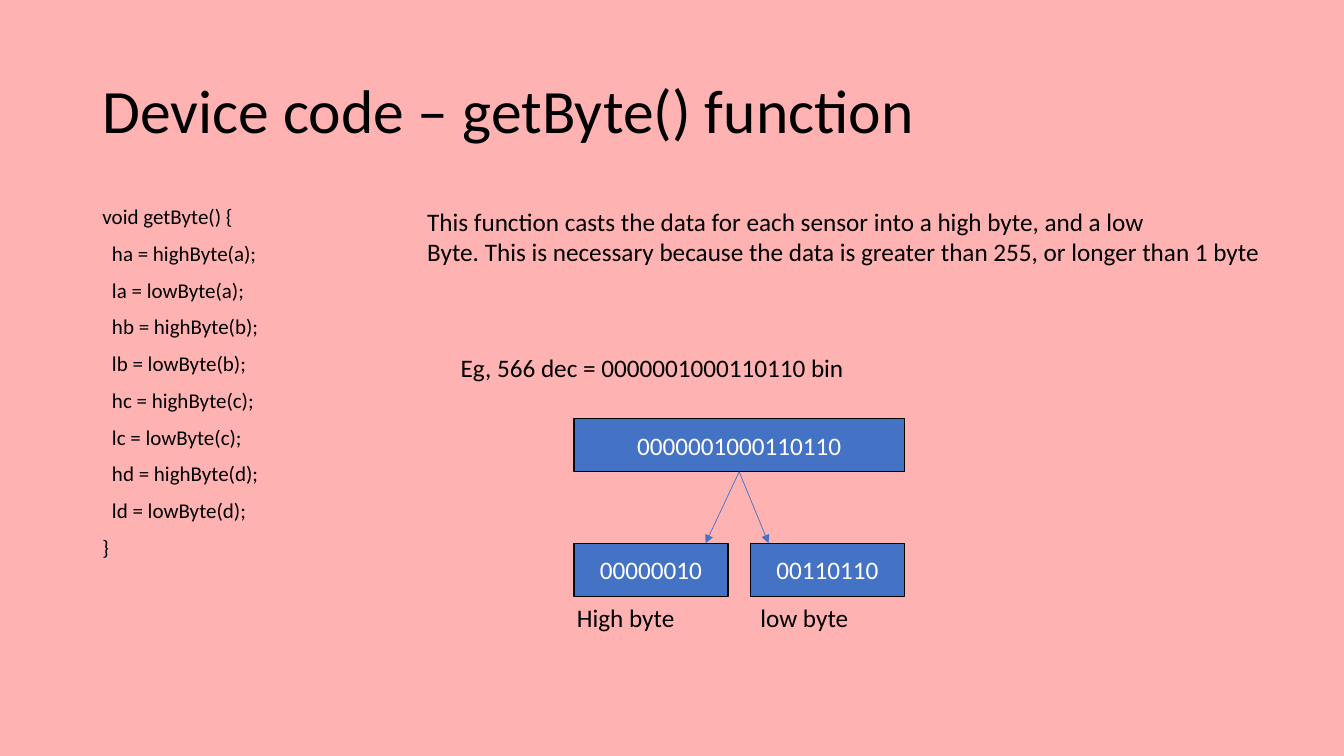
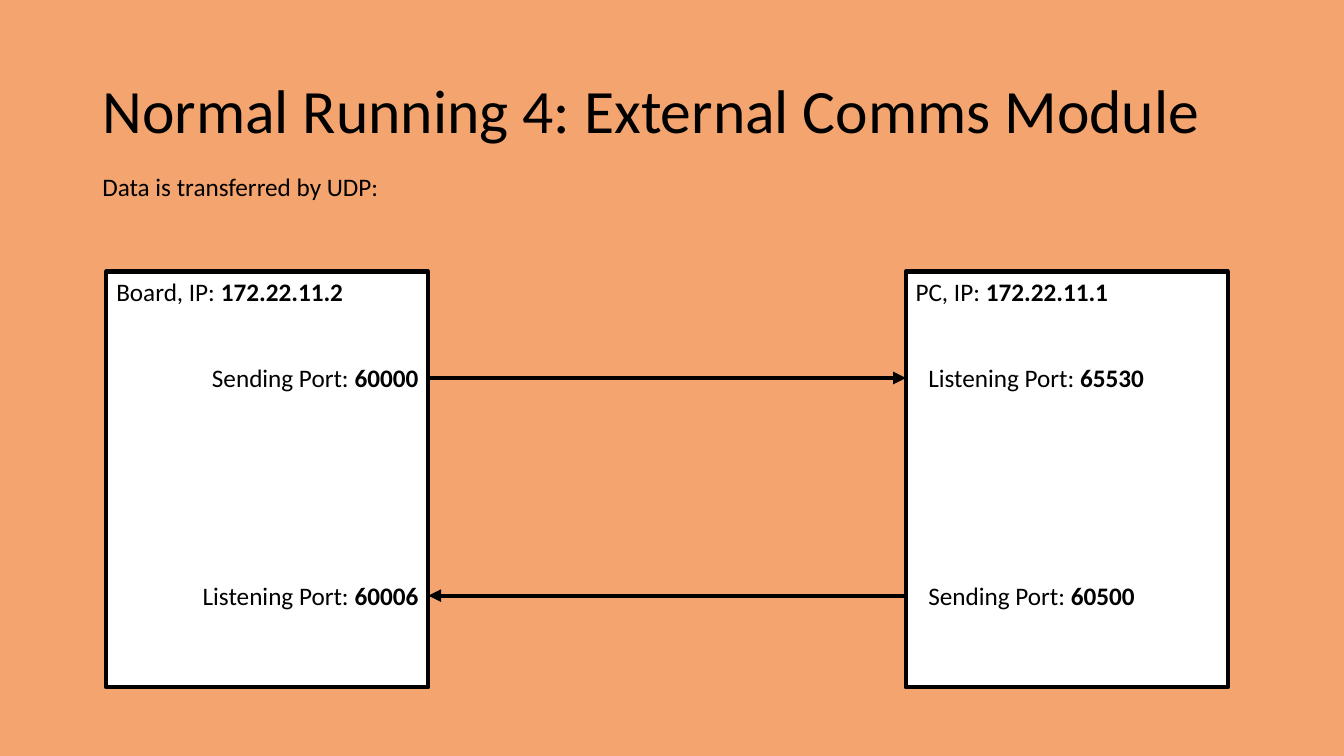
from dataclasses import dataclass

from lxml.etree import SubElement
from pptx import Presentation
from pptx.dml.color import RGBColor
from pptx.enum.shapes import MSO_CONNECTOR, MSO_SHAPE
from pptx.enum.text import MSO_ANCHOR, MSO_AUTO_SIZE, PP_ALIGN
from pptx.oxml.ns import qn
from pptx.shapes.autoshape import Shape
from pptx.slide import Slide
from pptx.util import Pt

RECTANGLE = MSO_SHAPE.RECTANGLE
STRAIGHT = MSO_CONNECTOR.STRAIGHT
MIDDLE = MSO_ANCHOR.MIDDLE
NO_AUTOFIT = MSO_AUTO_SIZE.NONE
LEFT, CENTER, RIGHT = PP_ALIGN.LEFT, PP_ALIGN.CENTER, PP_ALIGN.RIGHT

FONT = "Calibri"
BLACK, WHITE, BLUE = "000000", "FFFFFF", "4472C4"
PINK, ORANGE = "FFB2B2", "F3A46F"
TITLE_SIZE, TEXT_SIZE, CODE_SIZE = 44, 18, 15
TITLE_AND_BODY, TITLE_ONLY = 1, 5
MARGIN = 66
LABEL_HEIGHT = 29
CODE_INDENT = 6.8

CODE_CALLS = [
    f"{prefix}{name} = {function}({name});"
    for name in "abcd"
    for prefix, function in (("h", "highByte"), ("l", "lowByte"))
]


@dataclass(frozen=True)
class Area:
    left: float
    top: float
    width: float
    height: float

    @property
    def right(self) -> float:
        return self.left + self.width

    @property
    def bottom(self) -> float:
        return self.top + self.height

    @property
    def center(self) -> float:
        return self.left + self.width / 2


@dataclass(frozen=True)
class ByteBox:
    bits: str
    area: Area
    arrow_end: float
    label: str
    label_left: float


@dataclass(frozen=True)
class Host:
    name: str
    address: str
    frame: Area
    label_left: float
    align: PP_ALIGN
    ports: tuple[tuple[str, str], ...]


TITLE_AREA = Area(MARGIN, 29, 828, 104)
CODE_AREA = Area(MARGIN, 144, 366, 342)


def color(value: str) -> RGBColor:
    return RGBColor.from_string(value)


def format_para(para, size: float, text_color: str = BLACK, align: PP_ALIGN = LEFT) -> None:
    para.alignment = align
    para.font.name = FONT
    para.font.size = Pt(size)
    para.font.color.rgb = color(text_color)


def place(shape: Shape, area: Area) -> None:
    shape.left, shape.top = Pt(area.left), Pt(area.top)
    shape.width, shape.height = Pt(area.width), Pt(area.height)


def add_page(deck, layout: int, title: str, background: str) -> Slide:
    page = deck.slides.add_slide(deck.slide_layouts[layout])
    page.background.fill.solid()
    page.background.fill.fore_color.rgb = color(background)
    heading = page.shapes.title
    place(heading, TITLE_AREA)
    frame = heading.text_frame
    frame.text = title
    frame.auto_size = NO_AUTOFIT
    frame.vertical_anchor = MIDDLE
    para = frame.paragraphs[0]
    para.line_spacing = 0.9
    format_para(para, TITLE_SIZE)
    return page


def fill_code(body: Shape, lines: list[str]) -> None:
    """Write a function body, indenting all but its first and last line."""
    place(body, CODE_AREA)
    frame = body.text_frame
    frame.text = "\n".join(lines)
    frame.auto_size = NO_AUTOFIT
    for index, para in enumerate(frame.paragraphs):
        format_para(para, CODE_SIZE)
        para.line_spacing = 0.9
        para.space_before = Pt(10)
        inner = 0 < index < len(lines) - 1
        properties = para._p.get_or_add_pPr()
        properties.set("marL", str(Pt(CODE_INDENT if inner else 0)))
        properties.set("indent", "0")
        bullet = properties.makeelement(qn("a:buNone"), {})
        properties.find(qn("a:defRPr")).addprevious(bullet)


def add_label(page: Slide, left: float, top: float, width: float, text: str,
              bold_end: str = "", align: PP_ALIGN = LEFT) -> None:
    lines = text.split("\n")
    box = page.shapes.add_textbox(Pt(left), Pt(top), Pt(width), Pt(LABEL_HEIGHT * len(lines)))
    frame = box.text_frame
    frame.word_wrap = True
    frame.text = text
    for para in frame.paragraphs:
        format_para(para, TEXT_SIZE, align=align)
    if bold_end:
        span = frame.paragraphs[-1].add_run()
        span.text = bold_end
        span.font.bold = True


def add_box(page: Slide, area: Area, fill: str, line_width: float, text: str = "") -> None:
    box = page.shapes.add_shape(
        RECTANGLE, Pt(area.left), Pt(area.top), Pt(area.width), Pt(area.height))
    box.shadow.inherit = False
    box.fill.solid()
    box.fill.fore_color.rgb = color(fill)
    box.line.color.rgb = color(BLACK)
    box.line.width = Pt(line_width)
    if text:
        box.text_frame.text = text
        box.text_frame.vertical_anchor = MIDDLE
        format_para(box.text_frame.paragraphs[0], TEXT_SIZE, WHITE, CENTER)


def add_arrow(page: Slide, start: tuple[float, float], end: tuple[float, float],
              line_color: str, width: float) -> None:
    arrow = page.shapes.add_connector(
        STRAIGHT, Pt(start[0]), Pt(start[1]), Pt(end[0]), Pt(end[1]))
    arrow.line.color.rgb = color(line_color)
    arrow.line.width = Pt(width)
    SubElement(arrow.line._get_or_add_ln(), qn("a:tailEnd"), type="triangle")
    SubElement(arrow._element.spPr, qn("a:effectLst"))


def build_byte_page(deck) -> None:
    page = add_page(deck, TITLE_AND_BODY, "Device code – getByte() function", PINK)
    fill_code(page.placeholders[1], ["void getByte() {", *CODE_CALLS, "}"])
    add_label(
        page, 298, 144, 640,
        "This function casts the data for each sensor into a high byte, and a low\n"
        "Byte. This is necessary because the data is greater than 255, or longer than 1 byte")
    add_label(page, 322, 248, 300, "Eg, 566 dec = 0000001000110110 bin")

    word = Area(410, 299, 236, 38)
    byte_width, byte_top = 110, 388
    high = Area(word.left, byte_top, byte_width, word.height)
    low = Area(word.right - byte_width, byte_top, byte_width, word.height)
    add_box(page, word, BLUE, 1, "0000001000110110")
    for byte in (
        ByteBox("00000010", high, 504, "High byte", 405),
        ByteBox("00110110", low, 549, "low byte", low.left),
    ):
        add_box(page, byte.area, BLUE, 1, byte.bits)
        add_arrow(page, (word.center, word.bottom), (byte.arrow_end, byte_top), BLUE, 0.5)
        add_label(page, byte.label_left, byte.area.bottom + 1, byte_width, byte.label)


def build_comms_page(deck) -> None:
    page = add_page(deck, TITLE_ONLY, "Normal Running 4: External Comms Module", ORANGE)
    add_label(page, MARGIN, 119, 240, "Data is transferred by UDP:")

    board_frame = Area(76, 194, 230, 297)
    pc_frame = Area(647, 194, 230, 297)
    label_width = 180
    port_heights = (270, 425.5)
    hosts = (
        Host("Board", "172.22.11.2", board_frame, board_frame.right - label_width, RIGHT,
             (("Sending", "60000"), ("Listening", "60006"))),
        Host("PC", "172.22.11.1", pc_frame, pc_frame.left + 9, LEFT,
             (("Listening", "65530"), ("Sending", "60500"))),
    )
    for host in hosts:
        frame = host.frame
        add_box(page, frame, WHITE, 3)
        add_label(page, frame.left, frame.top, frame.width, f"{host.name}, IP: ", host.address)
        for height, (role, port) in zip(port_heights, host.ports):
            add_label(page, host.label_left, height - LABEL_HEIGHT / 2, label_width,
                      f"{role} Port: ", port, host.align)

    send_height, reply_height = port_heights
    board_edge, pc_edge = board_frame.right, pc_frame.left
    add_arrow(page, (board_edge, send_height), (pc_edge, send_height), BLACK, 3)
    add_arrow(page, (pc_edge, reply_height), (board_edge, reply_height), BLACK, 3)


def main() -> None:
    deck = Presentation()
    deck.slide_width, deck.slide_height = Pt(960), Pt(540)
    build_byte_page(deck)
    build_comms_page(deck)
    deck.save("out.pptx")


if __name__ == "__main__":
    main()
